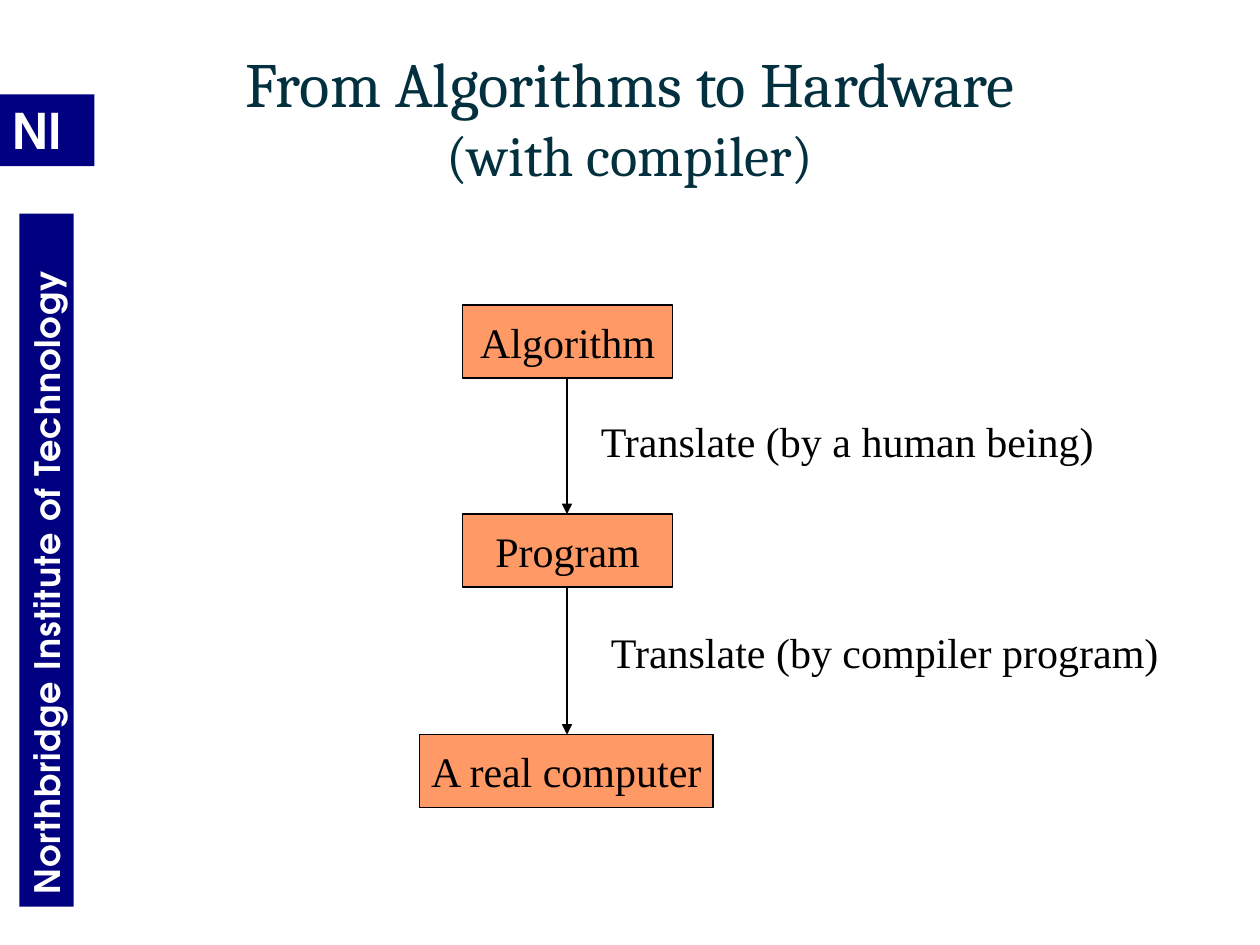
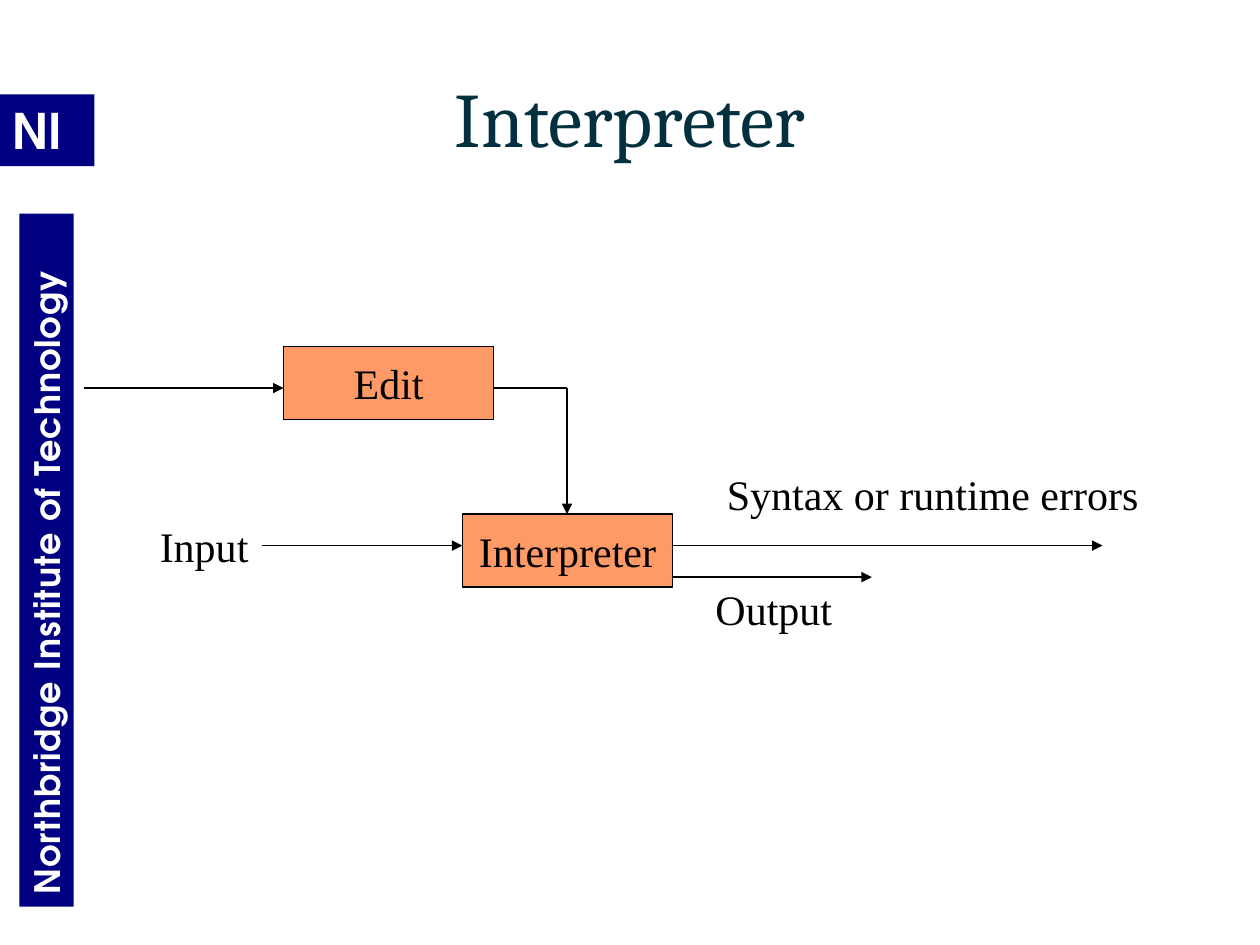
"""Build two slides on compiling and interpreting programs, with shared institute bands."""
from lxml import etree
from pptx import Presentation
from pptx.dml.color import RGBColor
from pptx.enum.shapes import MSO_CONNECTOR, MSO_SHAPE
from pptx.enum.text import MSO_ANCHOR, MSO_AUTO_SIZE, PP_ALIGN
from pptx.oxml.ns import qn
from pptx.util import Inches, Pt

RECTANGLE = MSO_SHAPE.RECTANGLE
STRAIGHT = MSO_CONNECTOR.STRAIGHT
MIDDLE = MSO_ANCHOR.MIDDLE
TOP = MSO_ANCHOR.TOP
LEFT = PP_ALIGN.LEFT
CENTER = PP_ALIGN.CENTER
NO_AUTOFIT = MSO_AUTO_SIZE.NONE

NAVY = RGBColor(0x00, 0x00, 0x80)
TEAL = RGBColor(0x02, 0x30, 0x3E)
ORANGE = RGBColor(0xFF, 0x99, 0x66)
BLACK = RGBColor(0x00, 0x00, 0x00)
WHITE = RGBColor(0xFF, 0xFF, 0xFF)

BAND_FONT = "TeX Gyre Adventor"
TITLE_FONT = "Cambria"
BODY_FONT = "Times New Roman"
BODY_SIZE = 24
BOX_HEIGHT = 0.58
LABEL_HEIGHT = 0.5

BANDS = [
    ("NI", 0, 0.75, 0.75, 0.57, 0, 28, 0),
    ("Northbridge Institute of Technology", -2.38, 4.23, 5.5, 0.43, 270, 20, 50),
]

SLIDES = [
    {
        "title": [("From Algorithms to Hardware", 36), ("(with compiler)", 32.4)],
        "boxes": [
            ("Algorithm", 3.67, 2.42, 1.67),
            ("Program", 3.67, 4.08, 1.67),
            ("A real computer", 3.33, 5.83, 2.33),
        ],
        "labels": [
            ("Translate (by a human being)", 4.67, 3.25, 4.12),
            ("Translate (by compiler program)", 4.75, 4.92, 4.56),
        ],
        "lines": [
            (4.5, 3, 4.5, 4.08, True),
            (4.5, 4.67, 4.5, 5.83, True),
        ],
    },
    {
        "title": [("Interpreter", 44)],
        "boxes": [
            ("Edit", 2.25, 2.75, 1.67),
            ("Interpreter", 3.67, 4.08, 1.67),
        ],
        "labels": [
            ("Syntax or runtime errors", 5.67, 3.67, 3.47),
            ("Input", 1.17, 4.08, 0.9),
            ("Output", 5.58, 4.58, 1.13),
        ],
        "lines": [
            (0.67, 3.08, 2.25, 3.08, True),
            (3.92, 3.08, 4.5, 3.08, False),
            (4.5, 3.08, 4.5, 4.08, True),
            (2.08, 4.33, 3.67, 4.33, True),
            (5.33, 4.33, 8.75, 4.33, True),
            (5.33, 4.58, 6.92, 4.58, True),
        ],
    },
]


def write_text(shape, text, font, size, color, alignment, anchor, wrap):
    frame = shape.text_frame
    frame.text = text
    frame.word_wrap = wrap
    frame.auto_size = NO_AUTOFIT
    frame.vertical_anchor = anchor
    paragraph = frame.paragraphs[0]
    paragraph.alignment = alignment
    for run in paragraph.runs:
        run.font.name = font
        run.font.size = Pt(size)
        run.font.color.rgb = color
    return paragraph


def add_rectangle(slide, left, top, width, height, fill):
    shape = slide.shapes.add_shape(
        RECTANGLE, Inches(left), Inches(top), Inches(width), Inches(height)
    )
    shape.shadow.inherit = False
    shape.fill.solid()
    shape.fill.fore_color.rgb = fill
    return shape


presentation = Presentation()
presentation.slide_width = Inches(10)
presentation.slide_height = Inches(7.5)
layout = presentation.slide_layouts[5]
slides = [presentation.slides.add_slide(layout) for _ in SLIDES]

for number, band in enumerate(BANDS, start=20):
    text, left, top, width, height, rotation, size, spacing = band
    shape = add_rectangle(slides[0], left, top, width, height, NAVY)
    shape.line.fill.background()
    shape.rotation = rotation
    paragraph = write_text(shape, text, BAND_FONT, size, WHITE, LEFT, TOP, True)
    font = paragraph.runs[0].font
    font.bold = True
    for properties in shape.element.iter(qn("a:rPr")):
        properties.set("spc", str(spacing))
    shape.element.nvSpPr.cNvPr.set("id", str(number))
    layout.shapes.element.append(shape.element)

for slide, content in zip(slides, SLIDES):
    title = slide.shapes.title
    title.left, title.top = Inches(0.5), Inches(0.3)
    title.width, title.height = Inches(9), Inches(1.25)
    title_lines = content["title"]
    title_text = "\v".join(text for text, size in title_lines)
    first_size = title_lines[0][1]
    paragraph = write_text(
        title, title_text, TITLE_FONT, first_size, TEAL, CENTER, MIDDLE, True
    )
    for run, (text, size) in zip(paragraph.runs, title_lines):
        run.font.size = Pt(size)
    for line_break in title.element.iter(qn("a:br")):
        etree.SubElement(line_break, qn("a:rPr"), sz=str(first_size * 100))

    for text, left, top, width in content["boxes"]:
        shape = add_rectangle(slide, left, top, width, BOX_HEIGHT, ORANGE)
        shape.line.color.rgb = BLACK
        shape.line.width = Pt(0.75)
        write_text(shape, text, BODY_FONT, BODY_SIZE, BLACK, CENTER, MIDDLE, False)

    for text, left, top, width in content["labels"]:
        label = slide.shapes.add_textbox(
            Inches(left), Inches(top), Inches(width), Inches(LABEL_HEIGHT)
        )
        write_text(label, text, BODY_FONT, BODY_SIZE, BLACK, LEFT, TOP, False)

    for start_x, start_y, end_x, end_y, has_arrow in content["lines"]:
        connector = slide.shapes.add_connector(
            STRAIGHT, Inches(start_x), Inches(start_y), Inches(end_x), Inches(end_y)
        )
        connector.line.color.rgb = BLACK
        connector.line.width = Pt(0.75)
        if has_arrow:
            outline = connector.line._get_or_add_ln()
            etree.SubElement(outline, qn("a:tailEnd"), type="triangle")
        etree.SubElement(connector.element.spPr, qn("a:effectLst"))

presentation.save("out.pptx")
